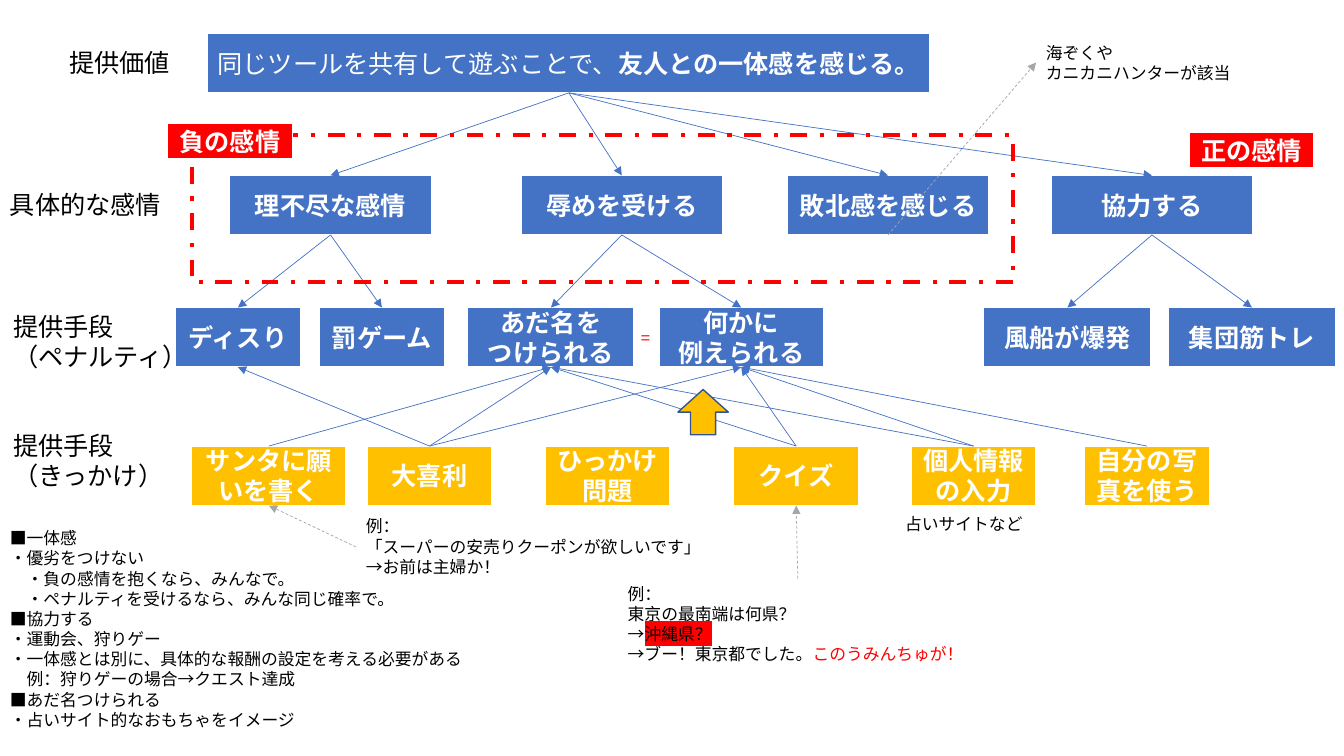
from lxml.etree import SubElement
from pptx import Presentation
from pptx.dml.color import RGBColor
from pptx.enum.dml import MSO_LINE
from pptx.enum.shapes import MSO_CONNECTOR, MSO_SHAPE
from pptx.enum.text import MSO_ANCHOR, MSO_AUTO_SIZE, PP_ALIGN
from pptx.oxml.ns import qn
from pptx.util import Cm, Pt

FONT = "Noto Sans CJK JP"
COLORS = {
    "blue": "4472C4",
    "navy": "325491",
    "amber": "FFC000",
    "red": "FF0000",
    "gray": "A6A6A6",
    "white": "FFFFFF",
    "black": "000000",
}
TOP, LEFT, BOTTOM = 0, 1, 2
BOX_HEIGHT = 1.5
EMOTIONS = [
    ("理不尽な感情", 5.79),
    ("辱めを受ける", 13.13),
    ("敗北感を感じる", 19.84),
    ("協力する", 26.49),
]
PENALTIES = [
    ("ディスり", 4.42, 3.15),
    ("罰ゲーム", 8.05, 3.15),
    ("あだ名を\nつけられる", 11.79, 4.19),
    ("何かに\n例えられる", 16.61, 4.14),
    ("風船が爆発", 24.79, 4.22),
    ("集団筋トレ", 29.44, 4.22),
]
TRIGGERS = [
    ("サンタに願いを書く", 4.83, 3.89),
    ("大喜利", 9.25, 3.15),
    ("ひっかけ問題", 13.74, 3.15),
    ("クイズ", 18.49, 3.15),
    ("個人情報の入力", 22.96, 3.15),
    ("自分の写真を使う", 27.33, 3.15),
]
EMOTION_TO_PENALTY = [(0, 0), (0, 1), (1, 2), (1, 3), (3, 4), (3, 5)]
TRIGGER_TO_PENALTY = [(0, 2), (1, 2), (1, 3), (1, 0), (3, 2), (3, 3), (4, 3), (4, 2), (5, 3)]
ROW_LABELS = [
    ("提供価値", 1.5, 1.07, 3.15, 1.02),
    ("具体的な感情", 0, 4.65, 4.37, 1.02),
    ("提供手段\n（ペナルティ）", 0.08, 7.72, 5, 1.8),
    ("提供手段\n（きっかけ）", 0.08, 10.72, 4.37, 1.8),
]
NOTES = """■一体感
・優劣をつけない
・負の感情を抱くなら、みんなで。
・ペナルティを受けるなら、みんな同じ確率で。
■協力する
・運動会、狩りゲー
・一体感とは別に、具体的な報酬の設定を考える必要がある
例：狩りゲーの場合→クエスト達成
■あだ名つけられる
・占いサイト的なおもちゃをイメージ"""
INDENTED_NOTES = (2, 3, 7)


def rgb(color):
    return RGBColor.from_string(COLORS[color])


def add_span(para, text, size=18, color="black", bold=False, highlight=None):
    span = para.add_run()
    span.text = text
    span.font.size = Pt(size)
    span.font.bold = bold
    span.font.color.rgb = rgb(color)
    span.font.name = FONT
    properties = span.font._element
    SubElement(properties, qn("a:ea"), typeface=FONT)
    if highlight:
        mark = SubElement(properties, qn("a:highlight"))
        SubElement(mark, qn("a:srgbClr"), val=COLORS[highlight])
        properties.find(qn("a:solidFill")).addnext(mark)


def write(frame, text, align=PP_ALIGN.LEFT, **style):
    for index, line in enumerate(text.split("\n")):
        para = frame.add_paragraph() if index else frame.paragraphs[0]
        para.alignment = align
        if line:
            add_span(para, line, **style)


def add_block(page, left, top, width, height, fill=None, line="white", weight=1, shape=MSO_SHAPE.RECTANGLE):
    block = page.shapes.add_shape(shape, Cm(left), Cm(top), Cm(width), Cm(height))
    block.shadow.inherit = False
    if fill:
        block.fill.solid()
        block.fill.fore_color.rgb = rgb(fill)
    else:
        block.fill.background()
    block.line.color.rgb = rgb(line)
    block.line.width = Pt(weight)
    return block


def add_box(page, text, left, top, width, height=BOX_HEIGHT, fill="blue", bold=True):
    box = add_block(page, left, top, width, height, fill)
    box.text_frame.word_wrap = True
    box.text_frame.vertical_anchor = MSO_ANCHOR.MIDDLE
    write(box.text_frame, text, align=PP_ALIGN.CENTER, color="white", bold=bold)
    return box


def add_text(page, text, left, top, width, height, **style):
    box = page.shapes.add_textbox(Cm(left), Cm(top), Cm(width), Cm(height))
    box.text_frame.word_wrap = False
    box.text_frame.auto_size = MSO_AUTO_SIZE.SHAPE_TO_FIT_TEXT
    write(box.text_frame, text, **style)
    return box


def add_arrow(page, start, start_site, end, end_site, color="blue", dash=None):
    arrow = page.shapes.add_connector(MSO_CONNECTOR.STRAIGHT, 0, 0, 0, 0)
    arrow.begin_connect(start, start_site)
    arrow.end_connect(end, end_site)
    arrow.line.color.rgb = rgb(color)
    arrow.line.width = Pt(0.5)
    if dash:
        arrow.line.dash_style = dash
    SubElement(arrow.line._get_or_add_ln(), qn("a:tailEnd"), type="triangle")
    SubElement(arrow._element.spPr, qn("a:effectLst"))


def add_callout(page, start, start_site, end, end_site):
    add_arrow(page, start, start_site, end, end_site, color="gray", dash=MSO_LINE.DASH)


def add_tree(page):
    value = add_box(page, "同じツールを共有して遊ぶことで、", 5.23, 0.84, 18.21, bold=False)
    add_span(value.text_frame.paragraphs[0], "友人との一体感を感じる。", color="white", bold=True)
    emotions = [add_box(page, text, left, 4.42, 5.08) for text, left in EMOTIONS]
    penalties = [add_box(page, text, left, 7.75, width) for text, left, width in PENALTIES]
    triggers = [add_box(page, text, left, 11.24, width, fill="amber") for text, left, width in TRIGGERS]
    for emotion in emotions:
        add_arrow(page, value, BOTTOM, emotion, TOP)
    for emotion, penalty in EMOTION_TO_PENALTY:
        add_arrow(page, emotions[emotion], BOTTOM, penalties[penalty], TOP)
    for trigger, penalty in TRIGGER_TO_PENALTY:
        add_arrow(page, triggers[trigger], TOP, penalties[penalty], BOTTOM)
    return emotions, triggers


def add_feeling_groups(page):
    frame = add_block(page, 4.83, 3.4, 20.7, 3.71, line="red", weight=3)
    frame.line.dash_style = MSO_LINE.DASH_DOT
    add_box(page, "負の感情", 4.22, 3.1, 3.15, 0.91, fill="red")
    add_box(page, "正の感情", 29.97, 3.33, 3.15, 0.91, fill="red")


def add_examples(page, emotions, triggers):
    toys = add_text(page, "海ぞくや\nカニカニハンターが該当", 26.11, 0.94, 5.21, 1.27, size=12)
    add_callout(page, emotions[2], BOTTOM, toys, LEFT)

    coupon = "例：\n「スーパーの安売りクーポンが欲しいです」\n→お前は主婦か！"
    comedy = add_text(page, coupon, 8.97, 12.88, 9.07, 1.8, size=12)
    add_callout(page, comedy, LEFT, triggers[0], BOTTOM)

    question = "例：\n東京の最南端は何県？\n→\n→ブー！東京都でした。"
    quiz = add_text(page, question, 15.57, 14.58, 9.07, 2.31, size=12)
    answer, verdict = quiz.text_frame.paragraphs[2:]
    add_span(answer, "沖縄県？", size=12, highlight="red")
    add_span(verdict, "このうみんちゅが！", size=12, color="red")
    add_callout(page, quiz, TOP, triggers[3], BOTTOM)

    add_text(page, "占いサイトなど", 22.56, 12.83, 3.94, 0.76, size=12)


def add_notes_list(page):
    notes = add_text(page, NOTES, 0, 13.18, 12.07, 5.38, size=12)
    for index in INDENTED_NOTES:
        para = notes.text_frame.paragraphs[index]
        para._p.get_or_add_pPr().set("marL", str(Pt(12)))


def main():
    deck = Presentation()
    deck.slide_width, deck.slide_height = Cm(33.87), Cm(19.05)
    page = deck.slides.add_slide(deck.slide_layouts[6])
    for label in ROW_LABELS:
        add_text(page, *label)
    emotions, triggers = add_tree(page)
    add_feeling_groups(page)
    add_text(page, "=", 15.9, 8.13, 0.81, 0.76, size=12, color="red")
    pointer = add_block(page, 17.15, 9.75, 1.14, 1.27, "amber", "navy", shape=MSO_SHAPE.RIGHT_ARROW)
    pointer.rotation = 270
    add_examples(page, emotions, triggers)
    add_notes_list(page)
    deck.save("out.pptx")


if __name__ == "__main__":
    main()
